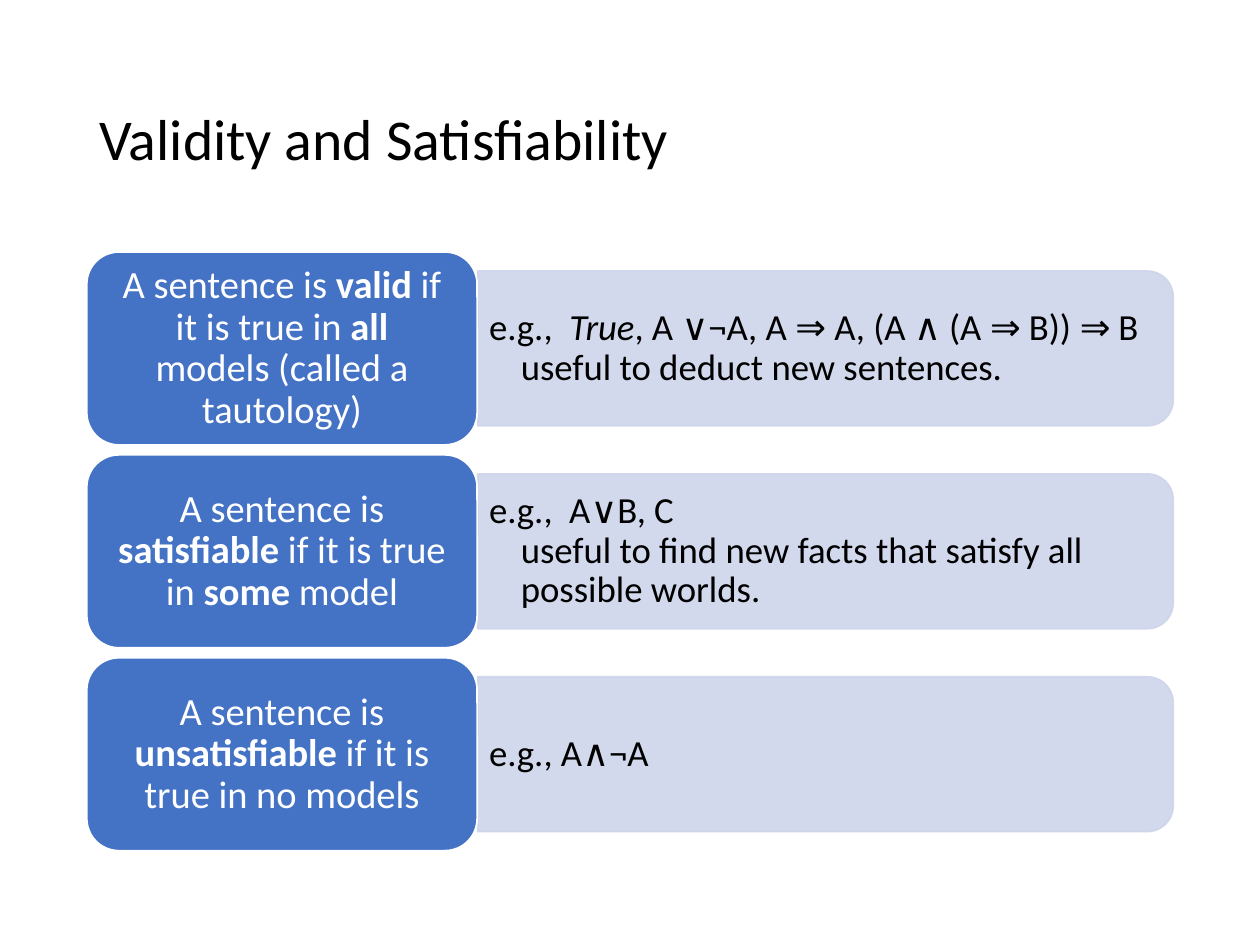
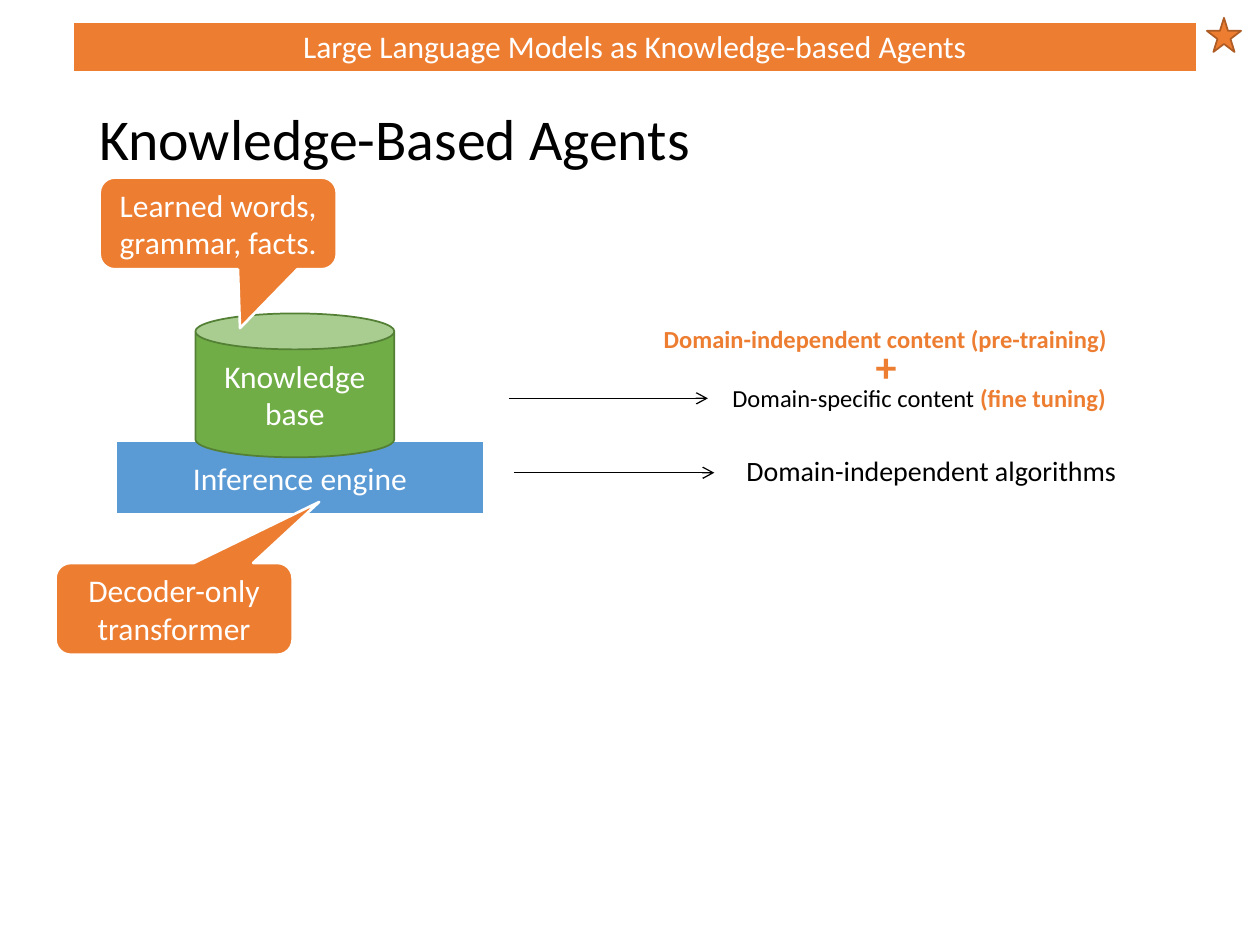
"""Two slides on logic: validity and knowledge-based agents."""
import pptx
import pptx.util
import pptx.dml.color
import pptx.enum.shapes
import pptx.enum.text
import pptx.oxml.ns
import lxml.etree

Cm, Pt = pptx.util.Cm, pptx.util.Pt
KIND = pptx.enum.shapes.MSO_SHAPE
ALIGN = pptx.enum.text.PP_ALIGN
ANCHOR = pptx.enum.text.MSO_ANCHOR
FIT = pptx.enum.text.MSO_AUTO_SIZE

FONT = "Calibri"
COLORS = {
    "black": "000000", "white": "FFFFFF", "card": "4472C4", "bar": "CFD5EA",
    "blue": "5B9BD5", "green": "70AD47", "moss": "538035",
    "orange": "ED7D31", "rust": "AF5C24",
}

# Each row: runs of the card, then lines of runs for its bar
ROWS = [
    ([("A sentence is ", ""), ("valid", "b"), (" if it is true in ", ""),
      ("all", "b"), (" models (called a tautology)", "")],
     [[("e.g.,  ", ""), ("True", "i"),
       (", A ∨¬A, A ⇒ A, (A ∧ (A ⇒ B)) ⇒ B", "")],
      [("useful to deduct new sentences.", "")]]),
    ([("A sentence is ", ""), ("satisfiable", "b"), (" if it is true in ", ""),
      ("some", "b"), (" model", "")],
     [[("e.g.,  A∨B, C", "")],
      [("useful to find new facts that satisfy all possible worlds.", "")]]),
    ([("A sentence is ", ""), ("unsatisfiable", "b"),
      (" if it is true in no models", "")],
     [[("e.g., A∧¬A", "")]]),
]


def rgb(name):
    """Return the named colour."""
    return pptx.dml.color.RGBColor.from_string(COLORS[name])


def node(parent, tag, **attrs):
    """Append a drawing element to parent."""
    return lxml.etree.SubElement(parent, pptx.oxml.ns.qn(tag), **attrs)


def style(para, size, color, align, bold=None, space=None):
    """Set the font and layout of a paragraph."""
    font = para.font
    font.name, font.size, font.bold = FONT, Pt(size), bold
    font.color.rgb = rgb(color)
    para.alignment = align
    para.line_spacing = space


def add_runs(para, runs):
    """Add (text, marks) runs; marks may hold b and i."""
    for text, marks in runs:
        run = para.add_run()
        run.text = text
        if "b" in marks:
            run.font.bold = True
        if "i" in marks:
            run.font.italic = True


def set_pad(frame, side, edge):
    """Set the inner margins of a text frame, in cm."""
    frame.margin_left = frame.margin_right = Cm(side)
    frame.margin_top = frame.margin_bottom = Cm(edge)


def add_box(shapes, kind, area, fill, line, width, text=None):
    """Add a filled shape, with white centred text if given."""
    box = shapes.add_shape(kind, *map(Cm, area))
    box.shadow.inherit = False
    box.fill.solid()
    box.fill.fore_color.rgb = rgb(fill)
    box.line.color.rgb = rgb(line)
    box.line.width = Pt(width)
    if text:
        para = box.text_frame.paragraphs[0]
        para.text = text
        style(para, 18, "white", ALIGN.CENTER)
    return box


def add_note(shapes, area, text, size, color="black", bold=None,
             align=ALIGN.CENTER, wrap=False):
    """Add a text box that fits its text; return its paragraph."""
    frame = shapes.add_textbox(*map(Cm, area)).text_frame
    frame.word_wrap = wrap
    frame.auto_size = FIT.SHAPE_TO_FIT_TEXT
    para = frame.paragraphs[0]
    add_runs(para, [(text, "")])
    style(para, size, color, align, bold)
    return para


def add_arrow(shapes, left, right, top):
    """Add a thin level arrow that points right."""
    arrow = shapes.add_connector(pptx.enum.shapes.MSO_CONNECTOR.STRAIGHT,
                                 Cm(left), Cm(top), Cm(right), Cm(top))
    arrow.line.color.rgb = rgb("black")
    arrow.line.width = Pt(0.75)
    node(arrow.line._get_or_add_ln(), "a:tailEnd", type="arrow")
    node(arrow._element.spPr, "a:effectLst")


def add_bar(shapes, mid, lines):
    """Add a pale bar, rounded on its right, and its text."""
    left, wide, high = 9.63, 14.02, 3.12
    area = left + (wide - high) / 2, mid - wide / 2, high, wide
    bar = add_box(shapes, KIND.ROUND_2_SAME_RECTANGLE, area, "bar", "bar", 1)
    bar.rotation = 90
    for color in bar._element.spPr.iter(pptx.oxml.ns.qn("a:srgbClr")):
        node(color, "a:alpha", val="90000")
    frame = shapes.add_textbox(Cm(left), Cm(mid - 1.41),
                               Cm(13.87), Cm(2.82)).text_frame
    frame.word_wrap = True
    frame.vertical_anchor = ANCHOR.MIDDLE
    set_pad(frame, 0.23, 0.1)
    para = frame.paragraphs[0]
    for index, runs in enumerate(lines):
        if index:
            para.add_line_break()
        add_runs(para, runs)
    style(para, 21, "black", ALIGN.LEFT, space=0.9)
    props = para._p.get_or_add_pPr()
    props.set("marL", str(Cm(0.64)))
    props.set("indent", str(-Cm(0.64)))


def add_card(shapes, top, high, runs):
    """Add a blue rounded card with its text."""
    card = add_box(shapes, KIND.ROUNDED_RECTANGLE, (1.75, top, 7.87, high),
                   "card", "white", 1)
    set_pad(card.text_frame, 0.41, 0.3)
    para = card.text_frame.paragraphs[0]
    add_runs(para, runs)
    style(para, 22, "white", ALIGN.CENTER, space=0.9)


def add_slide(deck, text):
    """Add a title-only slide and return its shapes."""
    shapes = deck.slides.add_slide(deck.slide_layouts[5]).shapes
    title = shapes.title
    title.left, title.top = Cm(1.75), Cm(1.02)
    title.width, title.height = Cm(21.9), Cm(3.68)
    frame = title.text_frame
    frame.auto_size = FIT.NONE
    frame.vertical_anchor = ANCHOR.MIDDLE
    frame.text = text
    style(frame.paragraphs[0], 33, "black", ALIGN.LEFT, space=0.9)
    return shapes


def draw_rows(deck):
    """Build the slide on validity."""
    shapes = add_slide(deck, "Validity and Satisfiability")
    high, step = 3.89, 4.09
    group = shapes.add_group_shape().shapes
    for index, (runs, lines) in enumerate(ROWS):
        top = 5.08 + index * step
        add_bar(group, top + high / 2, lines)
        add_card(group, top, high, runs)


def draw_agent(deck):
    """Build the slide on agents."""
    shapes = add_slide(deck, "Knowledge-Based Agents")
    add_box(shapes, KIND.RECTANGLE, (2.34, 8.89, 7.42, 1.47),
            "blue", "white", 1.5, "Inference engine")
    add_arrow(shapes, 10.36, 14.4, 9.53)
    add_note(shapes, (14.48, 9.02, 8.59, 0.94),
             "Domain-independent algorithms", 16)
    add_arrow(shapes, 10.26, 14.27, 8.03)
    para = add_note(shapes, (14.48, 7.59, 8.1, 0.86),
                    "Domain-specific content ", 14)
    add_runs(para, [("(fine tuning)", "b")])
    para.runs[-1].font.color.rgb = rgb("orange")
    add_box(shapes, KIND.CAN, (3.94, 6.32, 4.01, 2.9),
            "green", "moss", 1, "Knowledge base")
    add_box(shapes, KIND.STAR_5_POINT, (24.33, 0.36, 0.69, 0.69),
            "orange", "rust", 1)
    band = add_box(shapes, KIND.RECTANGLE, (1.47, 0.43, 22.66, 1.02),
                   "orange", "white", 1.5,
                   "Large Language Models as Knowledge-based Agents")
    band.text_frame.vertical_anchor = ANCHOR.TOP
    band.text_frame.auto_size = FIT.SHAPE_TO_FIT_TEXT
    add_note(shapes, (13.13, 6.4, 10.26, 0.86),
             "Domain-independent content (pre-training)", 14,
             "orange", True, ALIGN.LEFT, True)
    add_note(shapes, (17.4, 6.73, 0.94, 1.27), "+", 24,
             "orange", True, ALIGN.LEFT)
    for left, top, tip, text in (
            (2.01, 3.58, (0.092, 1.141), "Learned words, grammar, facts."),
            (1.12, 11.35, (0.612, -1.165), "Decoder-only transformer")):
        call = add_box(shapes, KIND.ROUNDED_RECTANGULAR_CALLOUT,
                       (left, top, 4.78, 1.85), "orange", "white", 1.5, text)
        call.adjustments[0], call.adjustments[1] = tip


def main():
    """Build and save the deck."""
    deck = pptx.Presentation()
    deck.slide_width, deck.slide_height = Cm(25.4), Cm(19.05)
    draw_rows(deck)
    draw_agent(deck)
    deck.save("out.pptx")


main()
